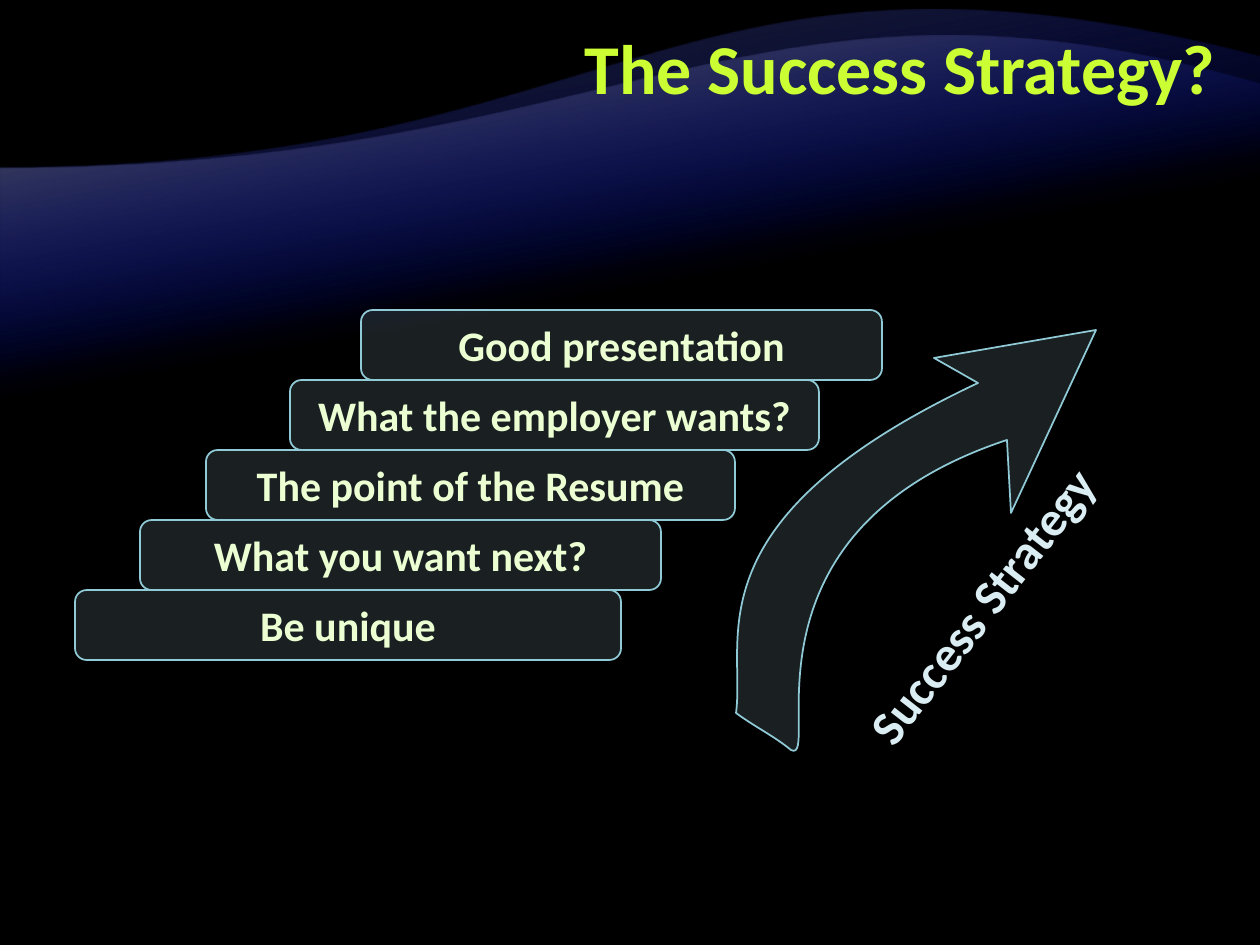
from lxml import etree
from pptx import Presentation, util as u
from pptx.dml.color import RGBColor
from pptx.enum import shapes, text
from pptx.oxml import ns

BLACK = RGBColor(0x00, 0x00, 0x00)
NAVY = RGBColor(0x00, 0x0D, 0x9E)
DARK = RGBColor(0x26, 0x26, 0x26)
GREY = RGBColor(0x59, 0x59, 0x59)
LIME = RGBColor(0xCC, 0xFF, 0x33)
CREAM = RGBColor(0xEB, 0xFF, 0xD2)
ICE = RGBColor(0xDA, 0xED, 0xF2)
GLASS = RGBColor(0xB5, 0xDB, 0xE5)
EDGE = RGBColor(0x90, 0xCA, 0xD7)

STEPS = [
    ("Good presentation", 286, 521),
    ("What the employer wants?", 215, 529),
    ("The point of the Resume", 131, 529),
    ("What you want next?", 65, 521),
    ("Be unique", 0, 546),
]


def px(n):
    return round(n * 914400 / 126)


def fade(clr, pct):
    tag = etree.SubElement(clr, ns.qn("a:alpha"))
    tag.set("val", str(pct * 1000))


def style(shape):
    shape.shadow.inherit = False
    shape.fill.solid()
    shape.fill.fore_color.rgb = GLASS
    fade(next(shape.element.spPr.iter(ns.qn("a:srgbClr"))), 15)
    shape.line.color.rgb = EDGE
    shape.line.width = u.Pt(1)


def write(shape, words, size, color, align):
    frame = shape.text_frame
    frame.text = words
    frame.word_wrap = True
    frame.vertical_anchor = text.MSO_ANCHOR.MIDDLE
    para = frame.paragraphs[0]
    para.alignment = align
    font = para.runs[0].font
    font.name, font.size, font.bold = "Calibri", u.Pt(size), True
    font.color.rgb = color
    return para


def outline(slide, box, start, moves):
    left, top = box[:2]
    ends = [move[-1] for move in moves]
    form = slide.shapes.build_freeform(px(start[0]), px(start[1]))
    form.add_line_segments([(px(x), px(y)) for x, y in ends])
    shape = form.convert_to_shape(px(left), px(top))
    lines = list(shape.element.iter(ns.qn("a:lnTo")))
    for line, move in zip(lines, moves):
        if len(move) == 3:
            line.tag = ns.qn("a:cubicBezTo")
            line.clear()
            for x, y in move:
                spot = etree.SubElement(line, ns.qn("a:pt"))
                spot.set("x", str(px(x)))
                spot.set("y", str(px(y)))
    return shape


def wave(slide, box, bends, color):
    wide, high = box[2:]
    rise = 168 - box[1]
    moves = [[(0, high)], [(0, rise)], [(630, rise), *bends, (wide, 0)]]
    shape = outline(slide, box, (wide, high), moves)
    shape.shadow.inherit = False
    shape.line.fill.background()
    shape.fill.gradient()
    shape.fill.gradient_angle = 280
    first, last = shape.fill.gradient_stops
    first.position, first.color.rgb = 0, color
    last.position, last.color.rgb = 0.35, NAVY
    fade(list(shape.element.spPr.iter(ns.qn("a:srgbClr")))[-1], 0)


def head(slide, box):
    title = slide.shapes.title
    title.left, title.top, title.width, title.height = map(px, box)
    para = write(title, "The Success Strategy?", 40, LIME, text.PP_ALIGN.RIGHT)
    para.line_spacing = u.Pt(40)
    slide.shapes._spTree.append(title.element)


def stairs(slide, box):
    left, top, high = box
    for row, (words, shift, wide) in enumerate(STEPS):
        bar = slide.shapes.add_shape(
            shapes.MSO_SHAPE.ROUNDED_RECTANGLE,
            px(left + shift), px(top + row * high), px(wide), px(high))
        style(bar)
        write(bar, words, 24, CREAM, text.PP_ALIGN.CENTER)


def arrow(slide, box):
    moves = [
        [(10, 309), (-49, 190), (242, 53)],
        [(198, 28)], [(360, 0)], [(275, 183)], [(271, 110)],
        [(-10, 203), (87, 436), (55, 420)],
        [(38, 406), (19, 397), (0, 383)],
    ]
    style(outline(slide, box, (0, 383), moves))


def label(slide, box):
    note = slide.shapes.add_textbox(*map(px, box))
    note.rotation = 308
    write(note, "Success Strategy", 28, ICE, text.PP_ALIGN.CENTER)


def main():
    deck = Presentation()
    deck.slide_width, deck.slide_height = u.Inches(10), u.Inches(7.5)
    slide = deck.slides.add_slide(deck.slide_layouts[5])
    slide.background.fill.solid()
    slide.background.fill.fore_color.rgb = BLACK
    wave(slide, (0, 57, 1260, 766), [(673, -152)], DARK)
    wave(slide, (0, 84, 1260, 618), [(753, -146)], GREY)
    head(slide, (252, 10, 976, 126))
    stairs(slide, (75, 310, 70))
    arrow(slide, (736, 330))
    label(slide, (746, 575, 471, 60))
    deck.save("out.pptx")


if __name__ == "__main__":
    main()
